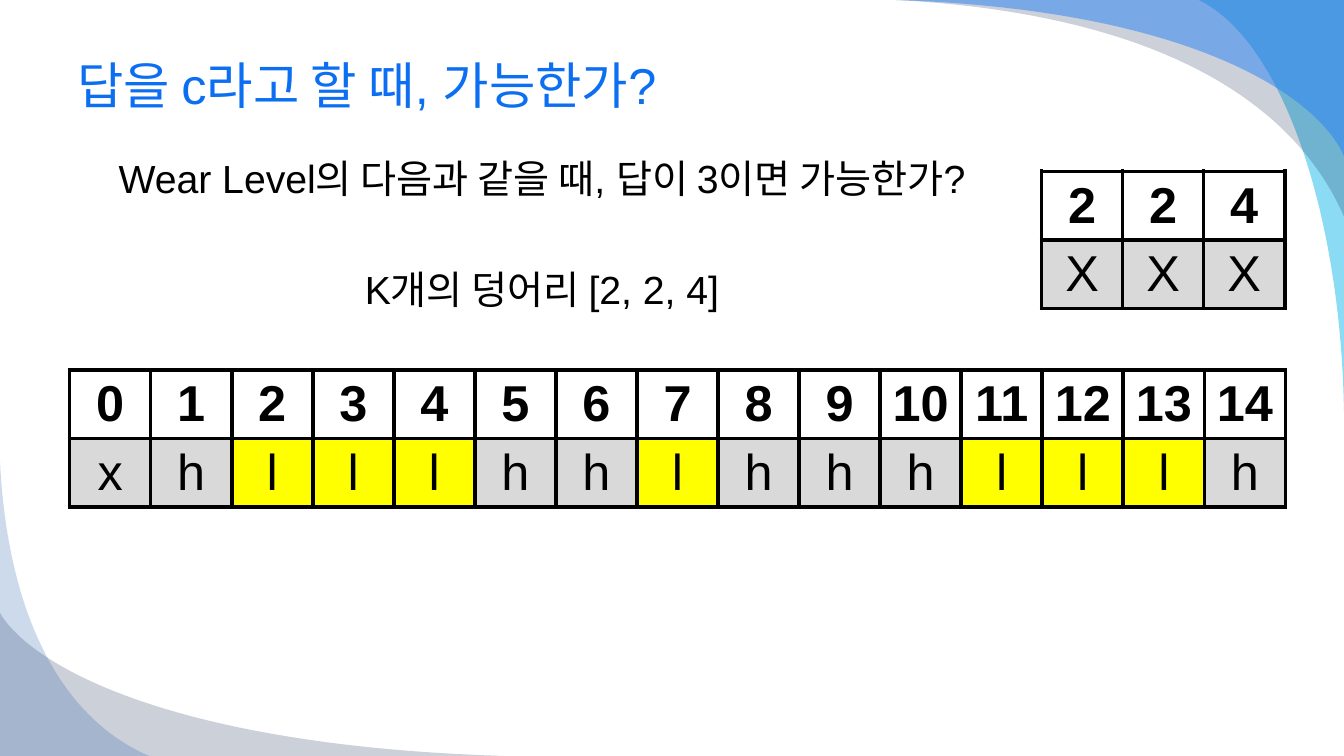
from lxml import etree
from pptx import Presentation
from pptx.dml.color import RGBColor
from pptx.enum import text
from pptx.oxml import ns
from pptx.util import Inches, Pt

BLACK = RGBColor(0x00, 0x00, 0x00)
WHITE = RGBColor(0xFF, 0xFF, 0xFF)
GREY = RGBColor(0xD9, 0xD9, 0xD9)
YELLOW = RGBColor(0xFF, 0xFF, 0x00)
TITLE_BLUE = RGBColor(0x0C, 0x6F, 0xF2)
CYAN = RGBColor(0x00, 0xB1, 0xE9)
NAVY = RGBColor(0x02, 0x17, 0x41)
SKY = RGBColor(0x24, 0x7F, 0xF4)
DEEP_BLUE = RGBColor(0x08, 0x4A, 0xA1)

FONT = "Arial"
WIDTH, HEIGHT = 13.33, 7.5
CELL_WIDTH, ROW_HEIGHT = 0.804, 0.66
CURVE_STEPS = 40

TITLE = "답을 c라고 할 때, 가능한가?"
BODY = ["Wear Level의 다음과 같을 때, 답이 3이면 가능한가?", "K개의 덩어리 [2, 2, 4]"]
CHUNKS = ["2", "2", "4"]
LEVELS = "xhlllhhlhhhlllh"

TOP_RIGHT, BOTTOM_LEFT = (WIDTH, 0), (0, HEIGHT)
SWOOSHES = [
    (TOP_RIGHT, [(11.89, 0), (12.75, 0.42), (13.3, 2.2), (WIDTH, 4.08)], CYAN, 45),
    (TOP_RIGHT, [(8.89, 0), (11.7, 0.15), (12.9, 1.15), (WIDTH, 2.15)], NAVY, 20),
    (TOP_RIGHT, [(8.89, 0), (11.9, 0.1), (13.1, 1.0), (WIDTH, 1.55)], SKY, 49),
    (BOTTOM_LEFT, [(0, 6.08), (0.3, 6.6), (1.7, 7.4), (5, HEIGHT)], NAVY, 20),
    (BOTTOM_LEFT, [(0, 4.58), (0.07, 6), (0.55, 7.1), (1.48, HEIGHT)], DEEP_BLUE, 20),
]


def curve_point(controls, t):
    weights = ((1 - t) ** 3, 3 * t * (1 - t) ** 2, 3 * t * t * (1 - t), t ** 3)
    return tuple(
        Inches(sum(w * p[axis] for w, p in zip(weights, controls))) for axis in (0, 1)
    )


def add_swoosh(slide, corner, controls, color, opacity):
    points = [curve_point(controls, i / CURVE_STEPS) for i in range(CURVE_STEPS + 1)]
    builder = slide.shapes.build_freeform(Inches(corner[0]), Inches(corner[1]), scale=1)
    builder.add_line_segments(points, close=True)
    shape = builder.convert_to_shape()
    shape.shadow.inherit = False
    shape.line.fill.background()
    shape.fill.solid()
    shape.fill.fore_color.rgb = color
    color_element = shape.fill._xPr.find(".//" + ns.qn("a:srgbClr"))
    etree.SubElement(color_element, ns.qn("a:alpha"), val=str(opacity * 1000))


def write(para, content, size, color, align, bold=False):
    para.text = content
    para.alignment = align
    for span in para.runs:
        span.font.name = FONT
        span.font.size = Pt(size)
        span.font.bold = bold
        span.font.color.rgb = color


def add_box(slide, left, top, width, height, anchor):
    box = slide.shapes.add_textbox(Inches(left), Inches(top), Inches(width), Inches(height))
    box.text_frame.word_wrap = True
    box.text_frame.vertical_anchor = anchor
    return box.text_frame


def add_borders(cell):
    properties = cell._tc.get_or_add_tcPr()
    for position, side in enumerate(("lnL", "lnR", "lnT", "lnB")):
        line = etree.Element(ns.qn("a:" + side), w=str(Pt(3)))
        fill = etree.SubElement(line, ns.qn("a:solidFill"))
        etree.SubElement(fill, ns.qn("a:srgbClr"), val=str(BLACK))
        properties.insert(position, line)


def add_grid(slide, left, top, headings, marks):
    count = len(headings)
    table = slide.shapes.add_table(
        2, count, Inches(left), Inches(top),
        Inches(count * CELL_WIDTH), Inches(2 * ROW_HEIGHT),
    ).table
    for column in table.columns:
        column.width = Inches(CELL_WIDTH)
    for row in table.rows:
        row.height = Inches(ROW_HEIGHT)
    for row_index, values in enumerate((headings, marks)):
        for column_index, value in enumerate(values):
            cell = table.cell(row_index, column_index)
            cell.margin_left = cell.margin_right = Inches(0.05)
            cell.margin_top = cell.margin_bottom = Inches(0.04)
            cell.vertical_anchor = text.MSO_ANCHOR.MIDDLE
            cell.fill.solid()
            shade = YELLOW if value == "l" else GREY
            cell.fill.fore_color.rgb = WHITE if row_index == 0 else shade
            write(cell.text_frame.paragraphs[0], value, 36, BLACK,
                  text.PP_ALIGN.CENTER, bold=row_index == 0)
            add_borders(cell)


def main():
    deck = Presentation()
    deck.slide_width, deck.slide_height = Inches(WIDTH), Inches(HEIGHT)
    page = deck.slides.add_slide(deck.slide_layouts[6])

    for swoosh in SWOOSHES:
        add_swoosh(page, *swoosh)

    title = add_box(page, 0.67, 0.33, 12, 1.01, text.MSO_ANCHOR.MIDDLE)
    write(title.paragraphs[0], TITLE, 36, TITLE_BLUE, text.PP_ALIGN.LEFT)

    add_grid(page, 0.69, 3.67, [str(i) for i in range(len(LEVELS))], LEVELS)

    body = add_box(page, 0.67, 1.48, 9.41, 1.82, text.MSO_ANCHOR.TOP)
    write(body.paragraphs[0], BODY[0], 28, BLACK, text.PP_ALIGN.CENTER)
    chunk_line = body.add_paragraph()
    chunk_line.space_before = Pt(46)
    write(chunk_line, BODY[1], 28, BLACK, text.PP_ALIGN.CENTER)

    add_grid(page, 10.33, 1.7, CHUNKS, "X" * len(CHUNKS))
    deck.save("out.pptx")


if __name__ == "__main__":
    main()
